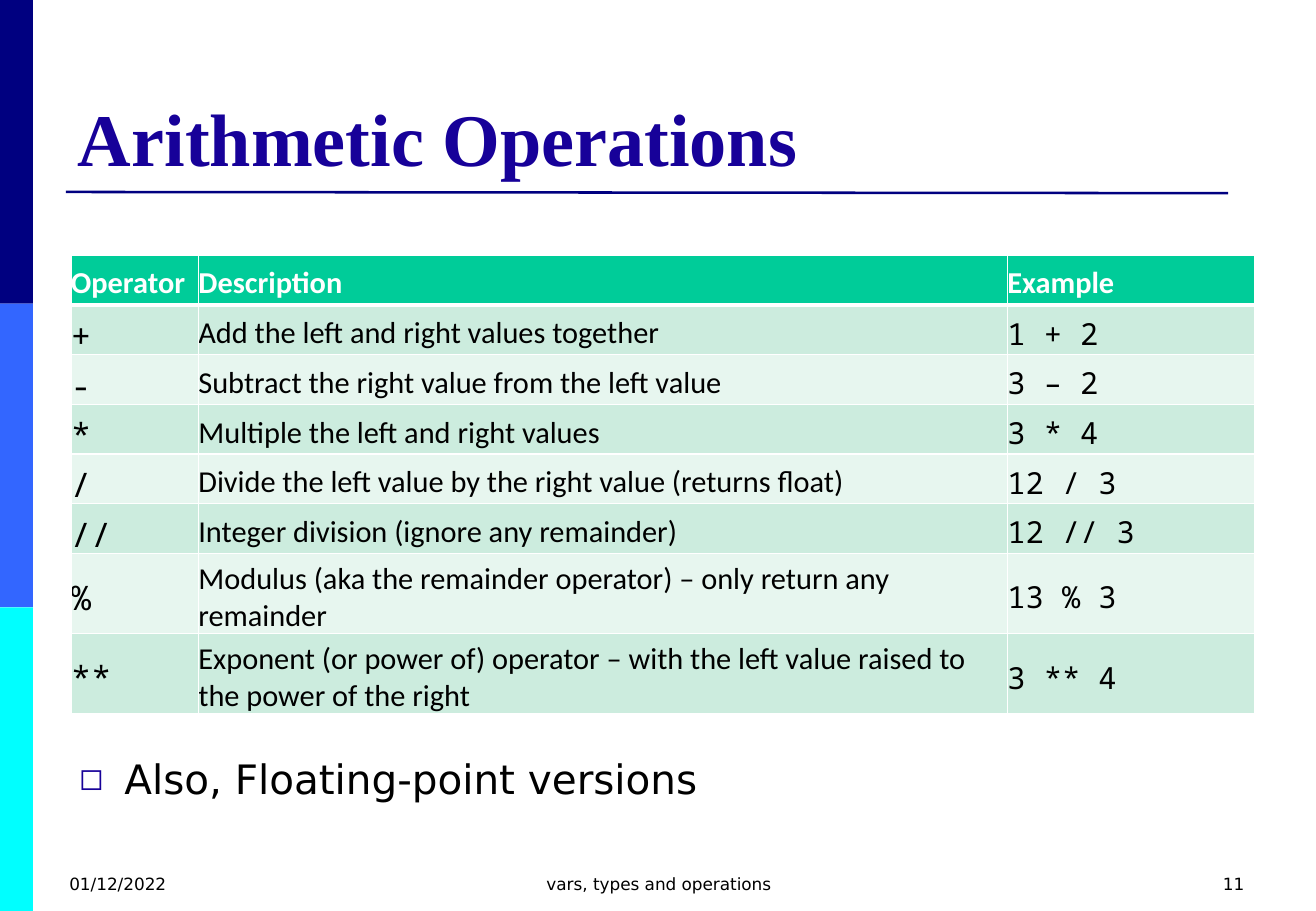
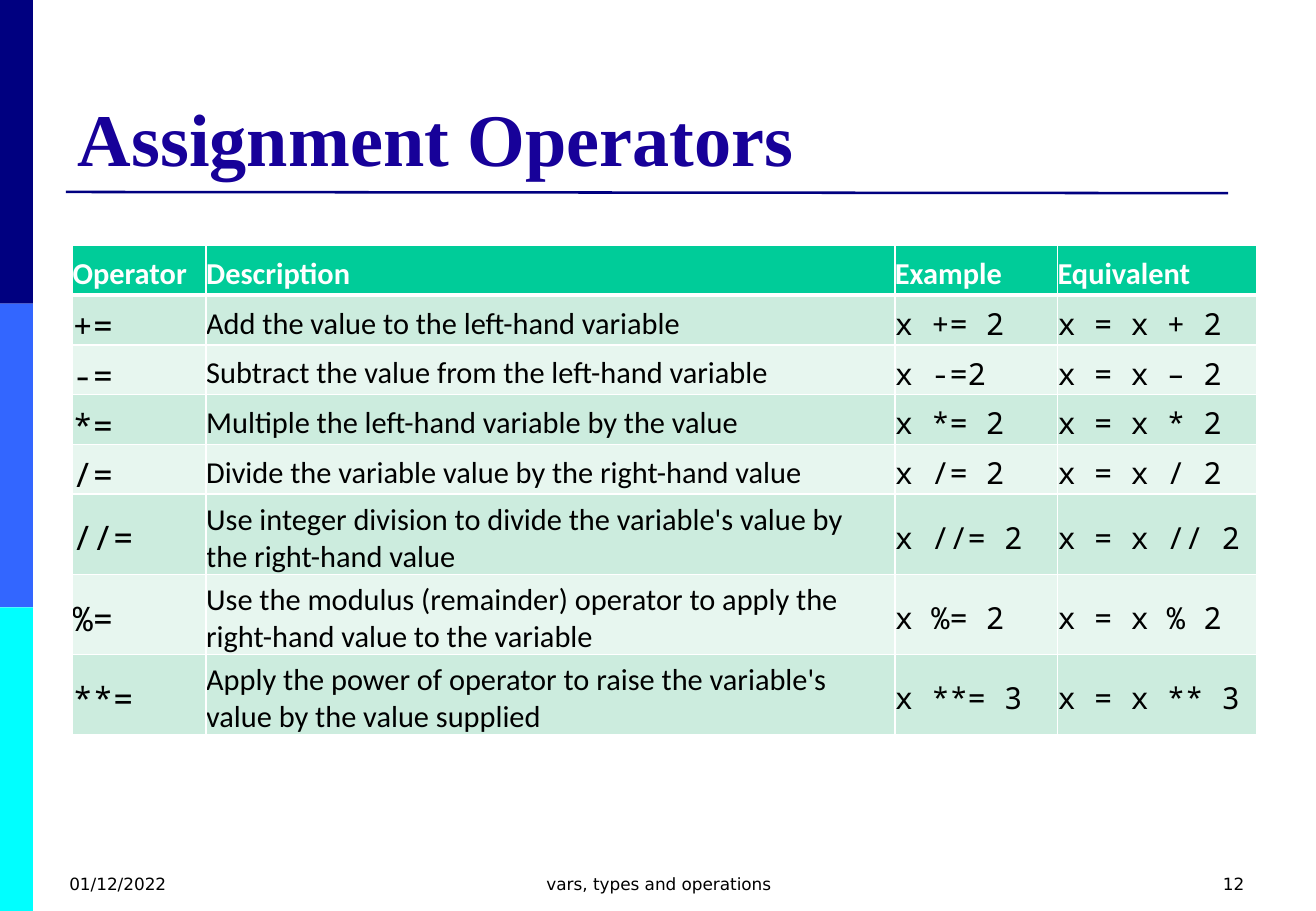
from dataclasses import dataclass

from lxml.etree import SubElement as Sub
from pptx import Presentation
from pptx.dml.color import RGBColor as RGB
from pptx.enum.shapes import MSO_CONNECTOR as Conn, MSO_SHAPE as Geo
from pptx.enum.text import MSO_ANCHOR as Anchor, MSO_AUTO_SIZE as Fit, PP_ALIGN as Align
from pptx.oxml import parse_xml
from pptx.oxml.ns import nsdecls, qn
from pptx.util import Pt


@dataclass(frozen=True)
class Theme:
    # Colours
    bands: tuple = ("000080", "3366FF", "00FFFF")
    rule: str = "000080"
    title: str = "170199"
    head: str = "00CC99"
    rows: tuple = ("CCECDE", "E7F6EF")
    ink: str = "000000"
    white: str = "FFFFFF"
    # Fonts
    serif: str = "Times New Roman"
    sans: str = "DejaVu Sans"
    cell: str = "Calibri"
    mono: str = "Noto Sans Mono"
    # Type sizes
    big: int = 44
    body: int = 24
    sign: int = 20
    text: int = 18
    small: int = 10


T = Theme()
WIDE, HIGH = 780, 540
ROW = 29.5

MATHS = [
    ("Operator", "Description", "Example"),
    ("+", "Add the left and right values together", "1 + 2"),
    ("-", "Subtract the right value from the left value", "3 – 2"),
    ("*", "Multiple the left and right values", "3 * 4"),
    ("/", "Divide the left value by the right value (returns float)", "12 / 3"),
    ("//", "Integer division (ignore any remainder)", "12 // 3"),
    ("%", "Modulus (aka the remainder operator) – only return any remainder", "13 % 3"),
    ("**", "Exponent (or power of) operator – with the left value raised to "
           "the power of the right", "3 ** 4"),
]

ASSIGN = [
    ("Operator", "Description", "Example", "Equivalent"),
    ("+=", "Add the value to the left-hand variable", "x += 2", "x = x + 2"),
    ("-=", "Subtract the value from the left-hand variable", "x -=2", "x = x – 2"),
    ("*=", "Multiple the left-hand variable by the value", "x *= 2", "x = x * 2"),
    ("/=", "Divide the variable value by the right-hand value", "x /= 2", "x = x / 2"),
    ("//=", "Use integer division to divide the variable's value by "
            "the right-hand value", "x //= 2", "x = x // 2"),
    ("%=", "Use the modulus (remainder) operator to apply the "
           "right-hand value to the variable", "x %= 2", "x = x % 2"),
    ("**=", "Apply the power of operator to raise the variable's "
            "value by the value supplied", "x **= 3", "x = x ** 3"),
]


def style(para, face, size, ink, bold=False):
    font = para.font
    font.name, font.size, font.bold = face, Pt(size), bold
    font.color.rgb = RGB.from_string(ink)


def paint(part, ink):
    part.fill.solid()
    part.fill.fore_color.rgb = RGB.from_string(ink)


def add_bands(slide):
    """Side bands and the rule under the title."""
    step = HIGH / len(T.bands)
    for i, ink in enumerate(T.bands):
        band = slide.shapes.add_shape(Geo.RECTANGLE, 0, Pt(i * step), Pt(19.5), Pt(step))
        band.shadow.inherit = False
        band.line.fill.background()
        paint(band, ink)
    rule = slide.shapes.add_connector(Conn.STRAIGHT, Pt(39), Pt(113.8), Pt(728), Pt(114.5))
    rule.line.color.rgb = RGB.from_string(T.rule)
    rule.line.width = Pt(1.5)
    Sub(rule._element.spPr, qn("a:effectLst"))


def add_title(slide, text):
    title = slide.shapes.title
    title.left, title.top, title.width, title.height = Pt(39), Pt(21.5), Pt(702), Pt(89.5)
    frame = title.text_frame
    frame.text = text
    frame.auto_size, frame.vertical_anchor = Fit.NONE, Anchor.BOTTOM
    para = frame.paragraphs[0]
    para.alignment = Align.LEFT
    style(para, T.serif, T.big, T.title, True)


def add_text(slide, text, box, size, align=Align.LEFT):
    frame = slide.shapes.add_textbox(*map(Pt, box)).text_frame
    frame.word_wrap = True
    frame.text = text
    para = frame.paragraphs[0]
    para.alignment = align
    style(para, T.sans, size, T.ink)
    return para


def add_foot(slide, num):
    for text, left, width, align in (
        ("01/12/2022", 34, 182, Align.LEFT),
        ("vars, types and operations", 267, 247, Align.CENTER),
        (str(num), 562.5, 182, Align.RIGHT),
    ):
        add_text(slide, text, (left, 514, width, 26), T.small, align)


def add_bullet(slide, text, box):
    para = add_text(slide, text, box, T.body)
    para.line_spacing, para.space_before = 1.25, Pt(7)
    props = para._p.get_or_add_pPr()
    props.set("marL", str(Pt(27)))
    props.set("indent", str(Pt(-27)))
    marks = (
        f'<a:buClr {nsdecls("a")}><a:srgbClr val="{T.title}"/></a:buClr>',
        f'<a:buSzPct {nsdecls("a")} val="75000"/>',
        f'<a:buFont {nsdecls("a")} typeface="{T.sans}"/>',
        f'<a:buChar {nsdecls("a")} char="◻"/>',
    )
    for i, mark in enumerate(marks):
        # Bullet marks go after the spacing and before the font
        props.insert(2 + i, parse_xml(mark))


def edge(cell):
    """White borders of a header cell, thicker below."""
    props = cell._tc.get_or_add_tcPr()
    for i, (side, width) in enumerate((("L", 1), ("R", 1), ("T", 1), ("B", 3))):
        props.insert(i, parse_xml(
            f'<a:ln{side} {nsdecls("a")} w="{Pt(width)}"><a:solidFill>'
            f'<a:srgbClr val="{T.white}"/></a:solidFill></a:ln{side}>'))


def fill_cell(cell, text, row, col):
    cell.text = text
    cell.vertical_anchor = Anchor.MIDDLE
    cell.margin_left = cell.margin_bottom = 0
    cell.margin_top = cell.margin_right = Pt(4.3)
    para = cell.text_frame.paragraphs[0]
    if row == 0:
        paint(cell, T.head)
        edge(cell)
        style(para, T.cell, T.text, T.white, True)
        return
    paint(cell, T.rows[(row - 1) % 2])
    face = T.cell if col == 1 else T.mono
    style(para, face, T.sign if col == 0 else T.text, T.ink)


def add_grid(slide, data, left, top, cols):
    grid = slide.shapes.add_table(
        len(data), len(cols), Pt(left), Pt(top), Pt(sum(cols)), Pt(ROW * len(data))).table
    for col, width in zip(grid.columns, cols):
        col.width = Pt(width)
    for r, line in enumerate(data):
        for c, text in enumerate(line):
            fill_cell(grid.cell(r, c), text, r, c)


def add_slide(deck, title, num):
    slide = deck.slides.add_slide(deck.slide_layouts[5])
    add_bands(slide)
    add_title(slide, title)
    add_foot(slide, num)
    return slide


def main():
    deck = Presentation()
    deck.slide_width, deck.slide_height = Pt(WIDE), Pt(HIGH)

    # Arithmetic
    slide = add_slide(deck, "Arithmetic Operations", 11)
    add_grid(slide, MATHS, 42, 151.2, (75.6, 479.5, 146.9))
    add_bullet(slide, "Also, Floating-point versions", (39.6, 436.3, 702, 62))

    # Assignment
    slide = add_slide(deck, "Assignment Operators", 12)
    add_grid(slide, ASSIGN, 43, 145.5, (79.2, 408.2, 96.5, 118.1))

    deck.save("out.pptx")


if __name__ == "__main__":
    main()
